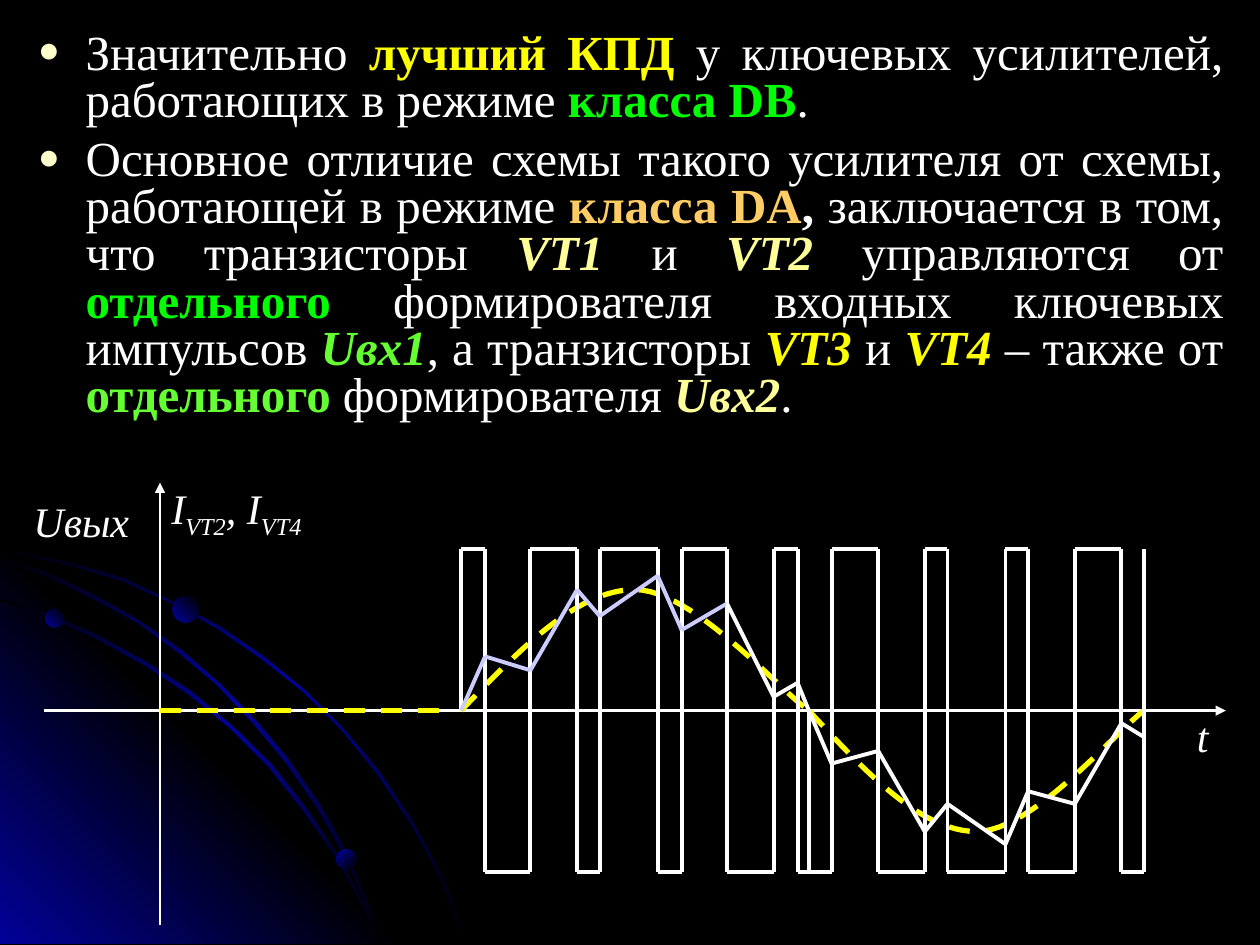
"""Build a slide on class DB switching amplifiers with its output waveform."""
from copy import deepcopy

from lxml import etree
from pptx import Presentation
from pptx.dml.color import RGBColor
from pptx.enum.dml import MSO_LINE
from pptx.enum.shapes import MSO_CONNECTOR, MSO_SHAPE
from pptx.enum.text import MSO_ANCHOR, MSO_AUTO_SIZE, PP_ALIGN
from pptx.oxml.ns import qn
from pptx.util import Inches, Pt

DASH = MSO_LINE.DASH
STRAIGHT = MSO_CONNECTOR.STRAIGHT
OVAL = MSO_SHAPE.OVAL
TOP = MSO_ANCHOR.TOP
FIXED = MSO_AUTO_SIZE.NONE
LEFT, CENTER, JUST = PP_ALIGN.LEFT, PP_ALIGN.CENTER, PP_ALIGN.JUSTIFY

BLACK = RGBColor(0, 0, 0)
WHITE = RGBColor(255, 255, 255)
NAVY = RGBColor(1, 1, 0x99)
YELLOW = RGBColor(255, 255, 0)
CREAM = RGBColor(255, 255, 0x99)
GREEN = RGBColor(0, 255, 0)
LIME = RGBColor(0x66, 255, 0x33)
AMBER = RGBColor(255, 0xCC, 0x66)
LILAC = RGBColor(0xCC, 0xCC, 255)
FACE = "Times New Roman"

prs = Presentation()
prs.slide_width, prs.slide_height = Inches(10), Inches(7.5)
slide = prs.slides.add_slide(prs.slide_layouts[1])
title = slide.shapes.title.element
title.getparent().remove(title)
slide.background.fill.solid()
slide.background.fill.fore_color.rgb = BLACK


def shade(shape, angle, tones):
    shape.shadow.inherit = False
    shape.line.fill.background()
    fill = shape.fill
    fill.gradient()
    fill.gradient_angle = 360 - angle
    stops = shape.element.spPr.find(".//" + qn("a:gsLst"))
    for _ in tones[2:]:
        stops.append(deepcopy(stops[0]))
    for num, (stop, tone) in enumerate(zip(fill.gradient_stops, tones)):
        stop.color.rgb = tone
        stop.position = num / (len(tones) - 1)


def draw(start, end, color=WHITE, width=2.25, dash=None, arrow=False):
    ends = [Inches(val) for val in (*start, *end)]
    link = slide.shapes.add_connector(STRAIGHT, *ends)
    link.line.color.rgb = color
    link.line.width = Pt(width)
    link.line.dash_style = dash
    if arrow:
        etree.SubElement(link.line._get_or_add_ln(), qn("a:tailEnd"), type="triangle")
    etree.SubElement(link.element.spPr, qn("a:effectLst"))


GLOW = (BLACK, NAVY, BLACK)
areas = [
    (225, GLOW, [
        (0.57, 4.47), (0.28, 4.41), (0, 4.35), (0, 4.38), (0.28, 4.43), (0.56, 4.49),
        (0.97, 4.61), (1.35, 4.78), (1.73, 4.99), (2.08, 5.23), (2.41, 5.49),
        (2.71, 5.79), (2.98, 6.12), (3.23, 6.49), (3.37, 6.73), (3.5, 6.98),
        (3.6, 7.23), (3.7, 7.49), (3.72, 7.49), (3.62, 7.23), (3.52, 6.98),
        (3.39, 6.73), (3.25, 6.48), (3, 6.11), (2.72, 5.78), (2.42, 5.48),
        (2.09, 5.21), (1.74, 4.97), (1.36, 4.77), (0.98, 4.59)]),
    (135, (NAVY, BLACK, NAVY), [(3.22, 7.49), (0, 7.49), (0, 4.27)]),
    (225, GLOW, [
        (2.85, 7.14), (2.94, 7.32), (3.01, 7.49), (3.03, 7.49), (2.96, 7.3),
        (2.86, 7.12), (2.66, 6.76), (2.42, 6.4), (2.15, 6.06), (1.84, 5.76),
        (1.52, 5.49), (1.17, 5.26), (0.79, 5.05), (0.41, 4.88), (0, 4.75), (0, 4.77),
        (0.39, 4.9), (0.77, 5.07), (1.15, 5.28), (1.5, 5.51), (1.83, 5.78),
        (2.13, 6.08), (2.4, 6.42), (2.65, 6.77)]),
    (225, GLOW, [
        (0, 4.42), (0, 4.44), (0.36, 4.57), (0.74, 4.75), (1.09, 4.94), (1.42, 5.18),
        (1.73, 5.44), (2.02, 5.75), (2.27, 6.05), (2.52, 6.41), (2.67, 6.67),
        (2.8, 6.94), (2.92, 7.22), (3.01, 7.49), (3.03, 7.49), (2.94, 7.2),
        (2.82, 6.93), (2.69, 6.65), (2.54, 6.39), (2.29, 6.03), (2.04, 5.73),
        (1.75, 5.43), (1.44, 5.16), (1.11, 4.93), (0.76, 4.73), (0.39, 4.55)]),
]
for angle, tones, spots in areas:
    spots = [(Inches(x), Inches(y)) for x, y in spots]
    path = slide.shapes.build_freeform(*spots[0])
    path.add_line_segments(spots[1:], close=True)
    shade(path.convert_to_shape(), angle, tones)

for x, y, size, angle in [(0.36, 4.83, 0.15, 135), (2.67, 6.74, 0.16, 225), (1.37, 4.73, 0.21, 135)]:
    ball = slide.shapes.add_shape(OVAL, Inches(x), Inches(y), Inches(size), Inches(size))
    shade(ball, angle, (BLACK, NAVY))

points = [
    [("Значительно ", WHITE, ""), ("лучший КПД", YELLOW, "b"),
     (" у ключевых усилителей, работающих в режиме ", WHITE, ""),
     ("класса DB", GREEN, "b"), (".", WHITE, "")],
    [("Основное отличие схемы такого усилителя от схемы, работающей в режиме ", WHITE, ""),
     ("класса DA", AMBER, "b"), (", ", WHITE, "b"),
     ("заключается в том, что транзисторы ", WHITE, ""), ("VT1 ", CREAM, "bi"),
     ("и ", WHITE, ""), ("VT2", CREAM, "bi"), (" управляются от ", WHITE, ""),
     ("отдельного", GREEN, "b"), (" формирователя входных ключевых импульсов ", WHITE, ""),
     ("Uвх1", LIME, "bi"), (", а транзисторы ", WHITE, ""), ("VT3 ", YELLOW, "bi"),
     ("и ", WHITE, ""), ("VT4", YELLOW, "bi"), (" – ", WHITE, "i"), ("также от ", WHITE, ""),
     ("отдельного", LIME, "b"), (" формирователя ", WHITE, ""),
     ("Uвх2", CREAM, "bi"), (".", WHITE, "")],
]
body = slide.placeholders[1]
body.left, body.top, body.width, body.height = map(Inches, (0.2, 0.21, 9.61, 3.54))
frame = body.text_frame
for name, val in {"auto_size": FIXED, "vertical_anchor": TOP, "word_wrap": True}.items():
    setattr(frame, name, val)
for num, runs in enumerate(points):
    para = frame.add_paragraph() if num else frame.paragraphs[0]
    form = {"alignment": JUST, "line_spacing": 0.8, "space_before": Pt(7 * num)}
    for name, val in form.items():
        setattr(para, name, val)
    props = para._p.get_or_add_pPr()
    props.set("marL", str(Inches(0.38)))
    props.set("indent", str(Inches(-0.38)))
    tint = etree.SubElement(props, qn("a:buClr"))
    etree.SubElement(tint, qn("a:srgbClr"), val="FFFFCC")
    etree.SubElement(props, qn("a:buSzPct"), val="75000")
    etree.SubElement(props, qn("a:buFont"), typeface=FACE)
    etree.SubElement(props, qn("a:buChar"), char="●")
    for text, color, style in runs:
        run = para.add_run()
        run.text = text
        form = {"name": FACE, "size": Pt(28), "bold": "b" in style, "italic": "i" in style}
        for name, val in form.items():
            setattr(run.font, name, val)
        run.font.color.rgb = color

ZERO, HIGH, LOW = 5.64, 4.36, 6.92
draw((0.35, ZERO), (9.73, ZERO), width=1.5, arrow=True)
draw((1.27, 7.34), (1.27, 3.83), width=1.5, arrow=True)
draw((1.27, ZERO), (3.57, ZERO), YELLOW, 3, DASH)

waves = [
    [(3.66, 5.64), (4.12, 5.16), (4.58, 4.68), (5.04, 4.68), (5.5, 4.68), (6.19, 5.48), (6.42, 5.64)],
    [(6.42, 5.64), (6.86, 6.12), (7.31, 6.6), (7.75, 6.6), (8.2, 6.6), (8.86, 5.8), (9.08, 5.64)],
]
STEPS = 24
for wave in waves:
    path = slide.shapes.build_freeform(*map(Inches, wave[0]))
    for part in (wave[:4], wave[3:]):
        for step in range(1, STEPS + 1):
            t = step / STEPS
            mix = ((1 - t) ** 3, 3 * t * (1 - t) ** 2, 3 * t * t * (1 - t), t ** 3)
            spot = [Inches(sum(m * v for m, v in zip(mix, axis))) for axis in zip(*part)]
            path.add_line_segments([spot], close=False)
    curve = path.convert_to_shape()
    curve.shadow.inherit = False
    curve.fill.background()
    curve.line.color.rgb = YELLOW
    curve.line.width = Pt(3)
    curve.line.dash_style = DASH

edges = [3.66, 3.85, 4.21, 4.58, 4.76, 5.22, 5.41, 5.77, 6.14, 6.33,
         6.6, 6.97, 7.34, 7.52, 7.98, 8.16, 8.53, 8.9, 9.08]
levels = [5.64, 5.21, 5.32, 4.68, 4.89, 4.57, 5, 4.79, 5.53, 5.42,
          6.06, 5.96, 6.6, 6.38, 6.7, 6.28, 6.38, 5.74, 5.85]
MID = 6.42
for num, x in enumerate(edges):
    draw((x, HIGH), (x, LOW if num else ZERO))
draw((MID, ZERO), (MID, LOW))
for num, (x, far) in enumerate(zip(edges, edges[1:])):
    y = LOW if num % 2 else HIGH
    draw((x, y), (far, y))
knots = sorted([*zip(edges, levels), (MID, ZERO)])
for num, (start, end) in enumerate(zip(knots, knots[1:])):
    draw(start, end, LILAC if num < 7 else WHITE)

labels = [
    (9.36, 5.64, 0.37, CENTER, ["t"]),
    (0.2, 3.93, 0.89, CENTER, ["Uвых"]),
    (1.36, 3.83, 1.29, LEFT, ["I", "VT2", ", I", "VT4"]),
]
for x, y, width, align, parts in labels:
    frame = slide.shapes.add_textbox(Inches(x), Inches(y), Inches(width), Inches(0.43)).text_frame
    form = {"word_wrap": True, "margin_left": 0, "margin_right": 0, "margin_top": 0, "margin_bottom": 0}
    for name, val in form.items():
        setattr(frame, name, val)
    para = frame.paragraphs[0]
    para.alignment = align
    for num, text in enumerate(parts):
        run = para.add_run()
        run.text = text
        for name, val in {"name": FACE, "size": Pt(24), "italic": True}.items():
            setattr(run.font, name, val)
        run.font.color.rgb = WHITE
        if num % 2:
            run.font._element.set("baseline", "-25000")

prs.save("out.pptx")
